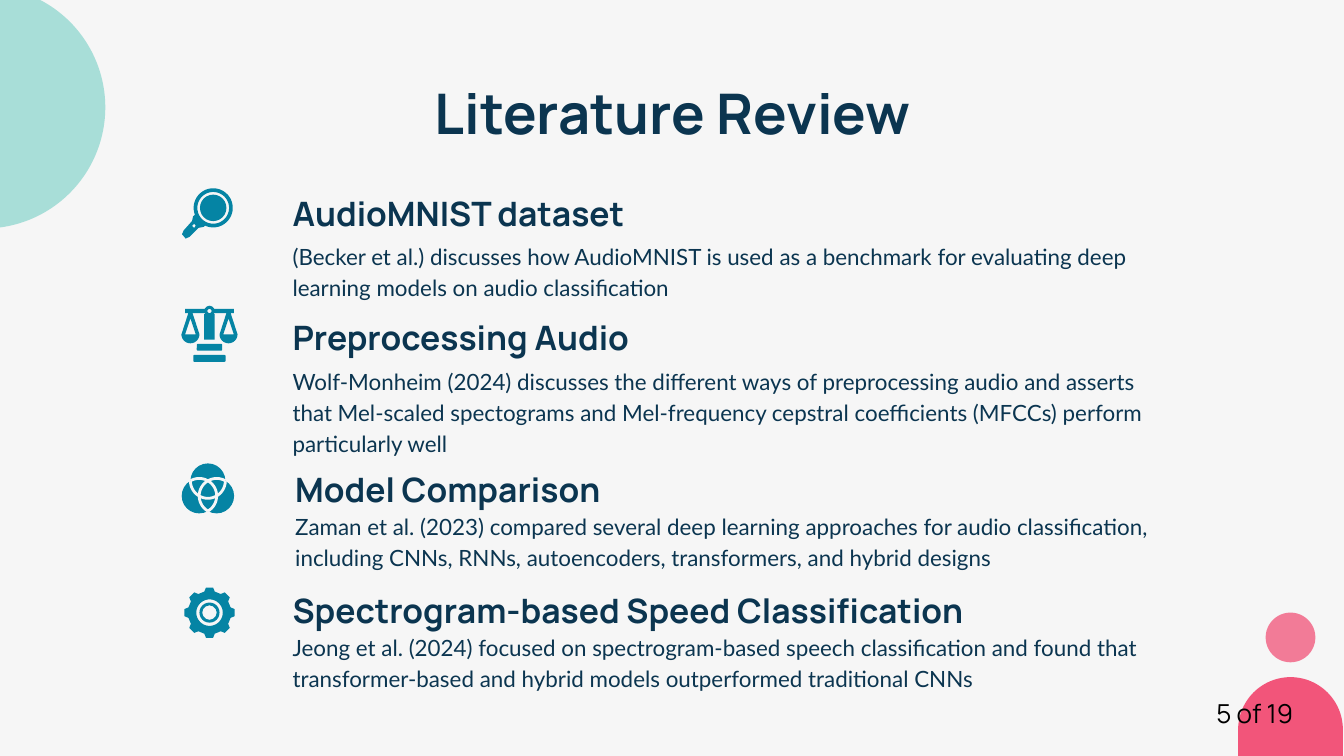
"""Build the literature review slide with its four illustrated topics."""
import math
from dataclasses import dataclass

from lxml import etree
from pptx import Presentation
from pptx import util as u
from pptx.dml import color
from pptx.enum import shapes, text
from pptx.oxml import ns


@dataclass(frozen=True)
class Theme:
    """Colours, fonts and type sizes of the slide."""
    paper: str = "F6F6F6"
    navy: str = "0B3550"
    teal: str = "0584A4"
    mint: str = "74CEC4"
    pink: str = "F2557A"
    black: str = "000000"
    display: str = "Manrope"
    body: str = "Lato"
    title_size: int = 30
    heading_size: int = 18
    body_size: int = 12
    page_size: int = 14


THEME = Theme()
SHAPE = shapes.MSO_SHAPE

# left, heading top, heading width, body top, body width, heading, body
TOPICS = [
    (5.28, 3.2, 10.06, 4.27, 16.74, "AudioMNIST dataset",
     "(Becker et al.) discusses how AudioMNIST is used as a benchmark for "
     "evaluating deep learning models on audio classification"),
    (5.28, 5.56, 10.06, 6.63, 16.71, "Preprocessing Audio",
     "Wolf-Monheim (2024) discusses the different ways of preprocessing audio "
     "and asserts that Mel-scaled spectograms and Mel-frequency cepstral "
     "coefficients (MFCCs) perform particularly well"),
    (5.33, 8.43, 10.06, 9.37, 17.27, "Model Comparison",
     "Zaman et al. (2023) compared several deep learning approaches for audio "
     "classification, including CNNs, RNNs, autoencoders, transformers, and "
     "hybrid designs"),
    (5.28, 10.72, 15.85, 11.66, 16.69, "Spectrogram-based Speed Classification",
     "Jeong et al. (2024) focused on spectrogram-based speech classification "
     "and found that transformer-based and hybrid models outperformed "
     "traditional CNNs"),
]


def rgb(value):
    """Turn a hex string into a colour."""
    return color.RGBColor.from_string(value)


def paint(shape, fill, opacity=100):
    """Give a shape a flat fill without line or shadow."""
    shape.shadow.inherit = False
    shape.line.fill.background()
    shape.fill.solid()
    shape.fill.fore_color.rgb = rgb(fill)
    if opacity < 100:
        tint = shape.fill._xPr.find(".//" + ns.qn("a:srgbClr"))
        etree.SubElement(tint, ns.qn("a:alpha"), val=str(opacity * 1000))


def add_preset(parent, kind, left, top, width, height, fill, opacity=100):
    """Add a filled preset shape, measured in centimetres."""
    shape = parent.add_shape(kind, u.Cm(left), u.Cm(top), u.Cm(width), u.Cm(height))
    paint(shape, fill, opacity)
    return shape


def add_disc(parent, x, y, radius, fill, opacity=100):
    """Add a filled circle around a centre."""
    return add_preset(parent, SHAPE.OVAL, x - radius, y - radius,
                      2 * radius, 2 * radius, fill, opacity)


def add_ring(parent, x, y, radius, thickness):
    """Add a teal ring around a centre; thickness is a share of its diameter."""
    ring = add_preset(parent, SHAPE.DONUT, x - radius, y - radius,
                      2 * radius, 2 * radius, THEME.teal)
    ring.adjustments[0] = thickness


def add_text(slide, words, left, top, width, height, *, size, font=THEME.display,
             ink=THEME.navy, bold=False, align=text.PP_ALIGN.LEFT,
             anchor=text.MSO_ANCHOR.TOP, spacing=1.0, inset=0.25):
    """Add a wrapped text box with one formatted paragraph."""
    frame = slide.shapes.add_textbox(
        u.Cm(left), u.Cm(top), u.Cm(width), u.Cm(height)).text_frame
    frame.word_wrap = True
    frame.vertical_anchor = anchor
    frame.margin_left = frame.margin_right = u.Cm(0.25)
    frame.margin_top = frame.margin_bottom = u.Cm(inset)
    paragraph = frame.paragraphs[0]
    paragraph.alignment = align
    paragraph.line_spacing = spacing
    run = paragraph.add_run()
    run.text = words
    run.font.name, run.font.size, run.font.bold = font, u.Pt(size), bold
    run.font.color.rgb = rgb(ink)


def arc(x, y, radius, start=0, end=360, steps=48):
    """List points along an arc, with angles in degrees."""
    angles = [math.radians(start + (end - start) * i / steps) for i in range(steps + 1)]
    return [(x + radius * math.cos(a), y + radius * math.sin(a)) for a in angles]


def add_outline(parent, x, y, contours, close=True):
    """Add one freeform from contours given relative to a centre."""
    contours = [[(u.Cm(x + dx), u.Cm(y + dy)) for dx, dy in points] for points in contours]
    builder = parent.build_freeform(*contours[0][0])
    for index, points in enumerate(contours):
        if index:
            builder.move_to(*points[0])
        builder.add_line_segments(points[1:], close=close)
    return builder.convert_to_shape()


def box(left, top, right, bottom):
    """List the corners of a rectangle."""
    return [(left, top), (right, top), (right, bottom), (left, bottom)]


def draw_magnifier(icon, x, y):
    """Draw a magnifying glass around the centre of its lens."""
    handle = [(-0.18, 0.36), (-0.28, 0.38), (-0.45, 0.55), (-0.52, 0.58),
              (-0.59, 0.5), (-0.56, 0.43), (-0.4, 0.25), (-0.38, 0.16)]
    slot = [(-0.36, 0.3), (-0.33, 0.34), (-0.36, 0.38), (-0.4, 0.34)]
    paint(add_outline(icon, x, y, [arc(0, 0, 0.37, 159, 475) + handle,
                                   arc(0, 0, 0.3), slot]), THEME.teal)
    add_disc(icon, x, y, 0.25, THEME.teal)


def draw_scales(icon, x, y):
    """Draw a balance around the pivot of its beam."""
    contours = [box(-0.1, 0.06, 0.1, 0.54)]
    for side in (-1, 1):
        pan = 0.36 * side
        contours += [
            box(0.07 * side, -0.04, 0.46 * side, 0.04),
            [(pan + 0.04, 0.04), *arc(pan, 0.44, 0.17, 0, 180), (pan - 0.04, 0.04)],
            [(pan, 0.14), (pan + 0.1, 0.44), (pan - 0.1, 0.44)],
        ]
    paint(add_outline(icon, x, y, contours), THEME.teal)
    add_ring(icon, x, y, 0.1, 0.3)
    for width, drop in ((0.48, 0.62), (0.61, 0.83)):
        add_preset(icon, SHAPE.ROUNDED_RECTANGLE, x - width / 2, y + drop,
                   width, 0.13, THEME.teal)


def draw_venn(icon, x, y):
    """Draw three overlapping circles parted by thin arcs."""
    petals = [(*arc(0, 0, 0.19, angle, angle, 1)[0], angle) for angle in (-90, 30, 150)]
    for dx, dy, _ in petals:
        add_disc(icon, x + dx, y + dy, 0.33, THEME.teal)
    for dx, dy, angle in petals:
        seam = add_outline(icon, x, y, [arc(dx, dy, 0.33, angle + 90, angle + 270)], False)
        seam.shadow.inherit = False
        seam.fill.background()
        seam.line.color.rgb = rgb(THEME.paper)
        seam.line.width = u.Pt(1.5)


def draw_gear(icon, x, y):
    """Draw an eight-toothed gear with a ring in its hub."""
    teeth = [arc(0, 0, radius, turn + offset, turn + offset, 1)[0]
             for turn in range(0, 360, 45)
             for offset, radius in ((-14, 0.41), (-8, 0.48), (8, 0.48), (14, 0.41))]
    paint(add_outline(icon, x, y, [teeth, arc(0, 0, 0.25)]), THEME.teal)
    add_ring(icon, x, y, 0.19, 0.14)


def draw_backdrop(slide):
    """Draw the corner circle and the figure at the lower right."""
    add_disc(slide.shapes, -0.3, 2.03, 2.29, THEME.mint, 60)
    add_disc(slide.shapes, 24.39, 12.05, 0.47, THEME.pink, 76)
    torso = add_preset(slide.shapes, SHAPE.ROUNDED_RECTANGLE, 23.4, 12.8, 1.98, 5.82, THEME.pink)
    torso.adjustments[0] = 0.5


def main():
    """Build the slide and save it."""
    deck = Presentation()
    deck.slide_width, deck.slide_height = u.Cm(25.4), u.Cm(14.29)
    slide = deck.slides.add_slide(deck.slide_layouts[6])
    slide.background.fill.solid()
    slide.background.fill.fore_color.rgb = rgb(THEME.paper)
    draw_backdrop(slide)
    add_text(slide, "Literature Review", 2.01, 1.24, 21.41, 1.6, bold=True,
             size=THEME.title_size, align=text.PP_ALIGN.CENTER)
    for left, heading_top, heading_width, body_top, body_width, heading, body in TOPICS:
        add_text(slide, body, left, body_top, body_width, 1.6,
                 size=THEME.body_size, font=THEME.body, spacing=1.15)
        add_text(slide, heading, left, heading_top, heading_width, 1.45, bold=True,
                 size=THEME.heading_size, anchor=text.MSO_ANCHOR.BOTTOM, spacing=1.15)
    for draw, x, y in ((draw_magnifier, 4.03, 3.93), (draw_scales, 3.96, 5.88),
                       (draw_venn, 3.93, 9.28), (draw_gear, 3.96, 11.58)):
        draw(slide.shapes.add_group_shape().shapes, x, y)
    add_text(slide, "5 of 19", 21.01, 13.06, 3.68, 0.86, size=THEME.page_size,
             ink=THEME.black, align=text.PP_ALIGN.RIGHT, inset=0.13)
    deck.save("out.pptx")


if __name__ == "__main__":
    main()
